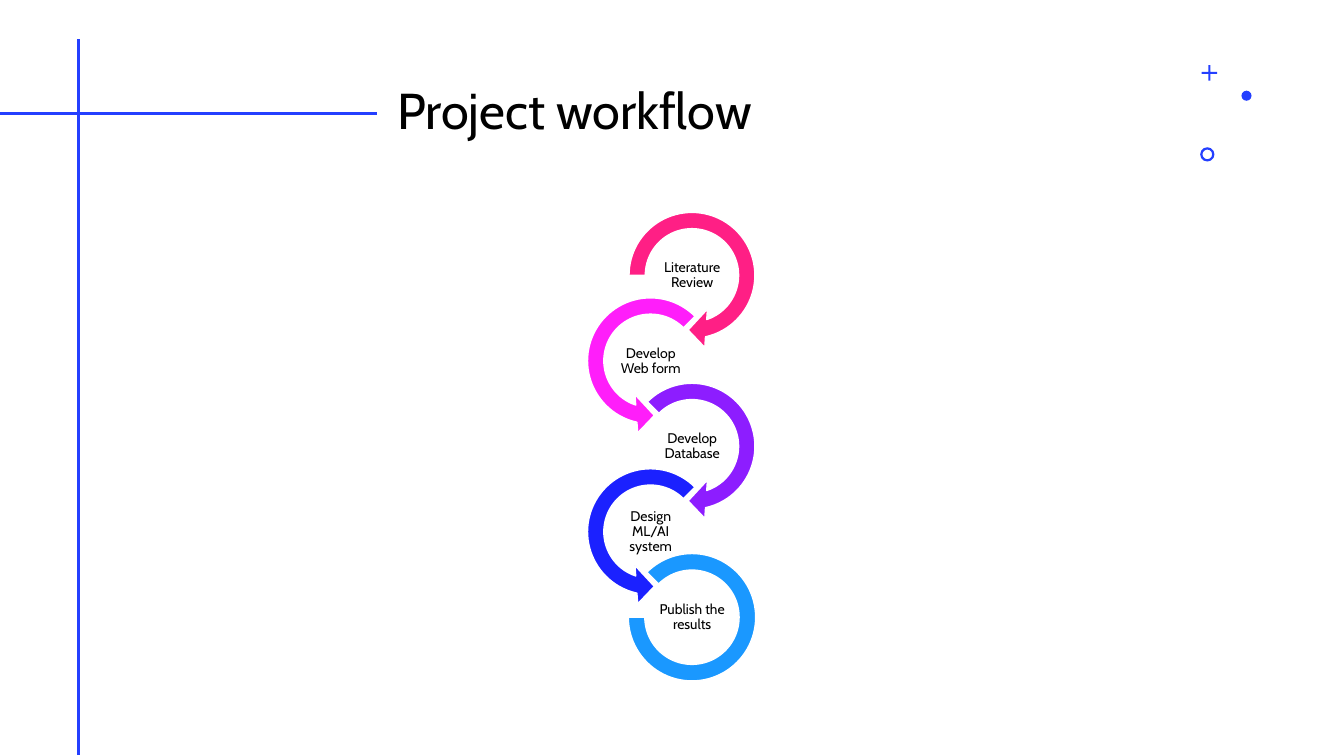
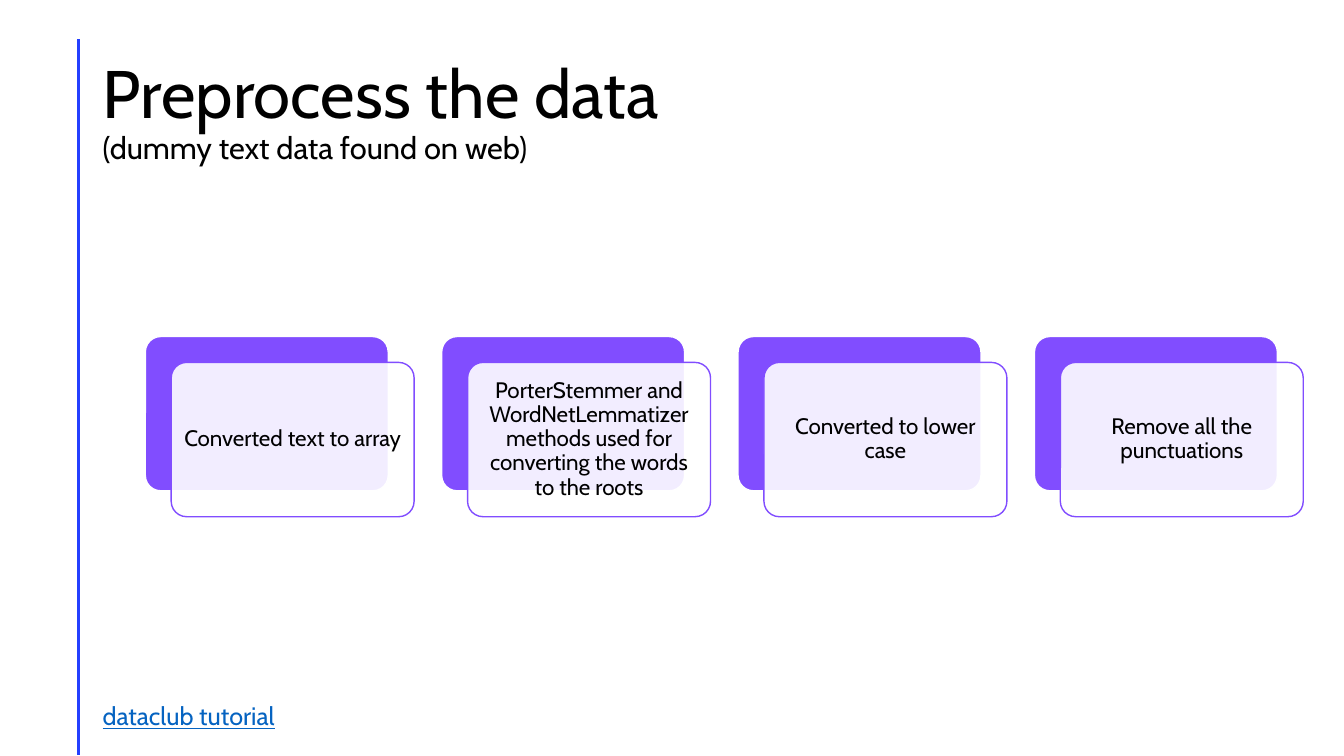
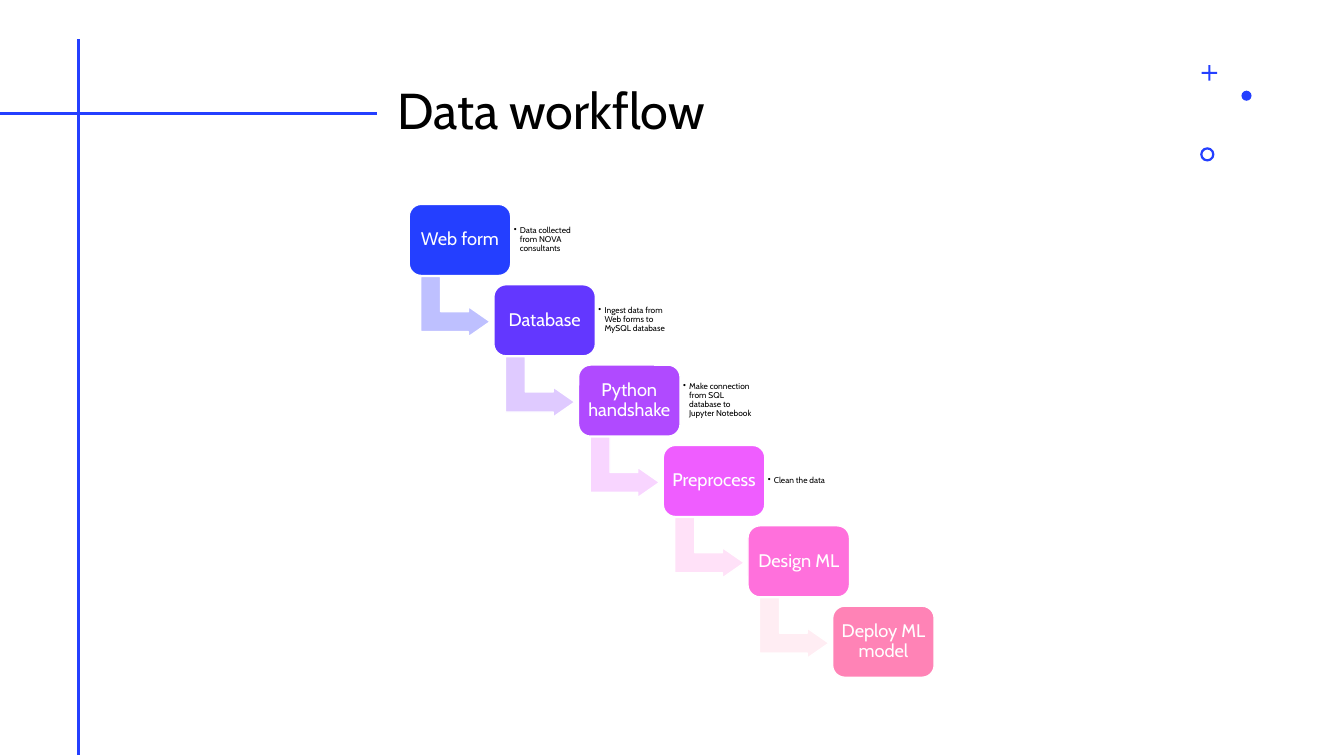
from lxml import etree
from pptx import Presentation
from pptx.dml.color import RGBColor
from pptx.enum.shapes import MSO_CONNECTOR, MSO_SHAPE
from pptx.enum.text import MSO_ANCHOR, MSO_AUTO_SIZE, PP_ALIGN
from pptx.oxml.ns import qn
from pptx.util import Pt

STRAIGHT = MSO_CONNECTOR.STRAIGHT
ROUNDED, OVAL, DONUT, CROSS = (MSO_SHAPE.ROUNDED_RECTANGLE, MSO_SHAPE.OVAL,
                               MSO_SHAPE.DONUT, MSO_SHAPE.CROSS)
RIGHT_RING, LEFT_RING = MSO_SHAPE.CIRCULAR_ARROW, MSO_SHAPE.LEFT_CIRCULAR_ARROW
END_RING, BENT_ARROW = MSO_SHAPE.BLOCK_ARC, MSO_SHAPE.BENT_UP_ARROW
MIDDLE, TOP = MSO_ANCHOR.MIDDLE, MSO_ANCHOR.TOP
LEFT, CENTER = PP_ALIGN.LEFT, PP_ALIGN.CENTER
NO_AUTOFIT = MSO_AUTO_SIZE.NONE
TITLE_ONLY = 5

FONT = "Cabin"
BLACK = RGBColor(0x00, 0x00, 0x00)
WHITE = RGBColor(0xFF, 0xFF, 0xFF)
BLUE = RGBColor(0x24, 0x3F, 0xFF)
VIOLET = RGBColor(0x81, 0x4D, 0xFF)
LINK_BLUE = RGBColor(0x05, 0x63, 0xC1)
ROSE = RGBColor(0xFF, 0x1F, 0x85)
MAGENTA = RGBColor(0xFF, 0x1E, 0xFA)
PURPLE = RGBColor(0x8D, 0x1D, 0xFF)
DEEP_BLUE = RGBColor(0x1B, 0x21, 0xFF)
SKY = RGBColor(0x1A, 0x98, 0xFF)
INDIGO = RGBColor(0x63, 0x37, 0xFF)
ORCHID = RGBColor(0xB0, 0x4A, 0xFF)
FUCHSIA = RGBColor(0xEF, 0x5D, 0xFF)
PINK = RGBColor(0xFF, 0x70, 0xDC)
CORAL = RGBColor(0xFF, 0x83, 0xB6)
PALE_BLUE = RGBColor(0xBE, 0xC0, 0xFF)
PALE_INDIGO = RGBColor(0xDF, 0xCA, 0xFF)
PALE_ORCHID = RGBColor(0xF8, 0xD5, 0xFF)
PALE_PINK = RGBColor(0xFF, 0xE1, 0xF8)
PALE_CORAL = RGBColor(0xFF, 0xED, 0xF3)

RIGHT_BEND = (0.11, 11.42, 45, 135, 0.13)
FIRST_BEND = (0.11, 11.42, 45, 108, 0.13)
LEFT_BEND = (0.11, 11.42, 63, 189, 0.13)
END_BEND = (135, 108, 0.13)

RINGS = [
    ("Literature Review", RIGHT_RING, FIRST_BEND, ROSE),
    ("Develop Web form", LEFT_RING, LEFT_BEND, MAGENTA),
    ("Develop Database", RIGHT_RING, RIGHT_BEND, PURPLE),
    ("Design ML/AI system", LEFT_RING, LEFT_BEND, DEEP_BLUE),
    ("Publish the results", END_RING, END_BEND, SKY),
]
CARDS = [
    "Converted text to array",
    "PorterStemmer and WordNetLemmatizer methods used for converting the words to the roots",
    "Converted to lower case",
    "Remove all the punctuations",
]
STAIRS = [
    ("Web form", BLUE, PALE_BLUE, "Data collected from NOVA consultants"),
    ("Database", INDIGO, PALE_INDIGO, "Ingest data from Web forms to MySQL database"),
    ("Python handshake", ORCHID, PALE_ORCHID,
     "Make connection from SQL database to Jupyter Notebook"),
    ("Preprocess", FUCHSIA, PALE_PINK, "Clean the data"),
    ("Design ML", PINK, PALE_CORAL, None),
    ("Deploy ML model", CORAL, None, None),
]


def add_run(paragraph, text, size, color=BLACK):
    run = paragraph.add_run()
    run.text = text
    run.font.name = FONT
    run.font.size = Pt(size)
    run.font.color.rgb = color
    return run


def set_frame(shape, inset, anchor=MIDDLE, align=CENTER, spacing=0.9):
    """Format the text frame of a shape and return its first paragraph."""
    frame = shape.text_frame
    frame.word_wrap = True
    frame.auto_size = NO_AUTOFIT
    frame.vertical_anchor = anchor
    frame.margin_left = frame.margin_right = Pt(inset)
    frame.margin_top = frame.margin_bottom = Pt(inset)
    paragraph = frame.paragraphs[0]
    paragraph.alignment = align
    paragraph.line_spacing = spacing
    return paragraph


def add_shape(slide, kind, left, top, width, height, fill, line=WHITE, bends=()):
    shape = slide.shapes.add_shape(kind, Pt(left), Pt(top), Pt(width), Pt(height))
    shape.shadow.inherit = False
    shape.fill.solid()
    shape.fill.fore_color.rgb = fill
    if line is None:
        shape.line.fill.background()
    else:
        shape.line.color.rgb = line
        shape.line.width = Pt(1)
    for index, bend in enumerate(bends):
        shape.adjustments[index] = bend
    return shape


def add_textbox(slide, left, top, width, height):
    return slide.shapes.add_textbox(Pt(left), Pt(top), Pt(width), Pt(height))


def add_rule(slide, x1, y1, x2, y2):
    rule = slide.shapes.add_connector(STRAIGHT, Pt(x1), Pt(y1), Pt(x2), Pt(y2))
    rule.line.color.rgb = BLUE
    rule.line.width = Pt(2)
    etree.SubElement(rule._element.spPr, qn("a:effectLst"))


def add_title_slide(presentation, left, width, title, size, subtitle=None):
    slide = presentation.slides.add_slide(presentation.slide_layouts[TITLE_ONLY])
    add_rule(slide, 56.2, 28, 56.2, 539.5)
    shape = slide.shapes.title
    shape.left, shape.top, shape.width, shape.height = (
        Pt(left), Pt(28.8), Pt(width), Pt(104.4))
    paragraph = set_frame(shape, 7.2, align=LEFT)
    shape.text_frame.margin_top = shape.text_frame.margin_bottom = Pt(3.6)
    add_run(paragraph, title, size)
    if subtitle:
        paragraph.add_line_break()
        add_run(paragraph, subtitle, 22)
    return slide


def add_workflow_slide(presentation, title):
    slide = add_title_slide(presentation, 276.5, 563.8, title, 36)
    add_rule(slide, 0, 80.9, 269.5, 80.9)
    add_shape(slide, CROSS, 858.4, 46.6, 11, 11, BLUE, None, (0.43,))
    add_shape(slide, OVAL, 886.8, 64.8, 7.2, 7.2, BLUE, None)
    add_shape(slide, DONUT, 857.3, 105.2, 10.2, 10.2, BLUE, None, (0.16,))
    return slide


def add_ring_chain(slide, left, top):
    size, pitch, shift = 105.8, 61.05, 29.6
    for index, (label, kind, bends, color) in enumerate(RINGS):
        x = left if kind == LEFT_RING else left + shift
        y = top + index * pitch
        trim = 7.4 if kind == END_RING else 0
        add_shape(slide, kind, x + trim, y + trim, size - 2 * trim,
                  size - 2 * trim, color, bends=bends)
        box = add_textbox(slide, x + 23.5, y + 38.4, 59, 29.5)
        add_run(set_frame(box, 0.7), label, 10)


def add_card_row(slide, left, top):
    width, height, pitch, offset = 173.5, 110.2, 211.7, 18.5
    for index, label in enumerate(CARDS):
        x = left + index * pitch
        add_shape(slide, ROUNDED, x, top, width, height, VIOLET, bends=(0.1,))
        card = add_shape(slide, ROUNDED, x + offset, top + offset, width, height,
                         WHITE, VIOLET, (0.1,))
        white = card._element.spPr.find(qn("a:solidFill"))[0]
        etree.SubElement(white, qn("a:alpha"), val="90000")
        add_run(set_frame(card, 5), label, 16)


def add_bullet_note(slide, left, top, text):
    box = add_textbox(slide, left, top, 53.3, 41)
    paragraph = box.text_frame.paragraphs[0]
    properties = paragraph._p.get_or_add_pPr()
    properties.set("marL", str(Pt(4.3)))
    properties.set("indent", str(Pt(-4.3)))
    etree.SubElement(properties, qn("a:buChar"), char="•")
    set_frame(box, 2.2, align=LEFT)
    add_run(paragraph, text, 6)


def add_staircase(slide, left, top):
    width, height, step_x, step_y = 72.5, 50.8, 60.5, 57.4
    for index, (label, color, arrow_color, note) in enumerate(STAIRS):
        x, y = left + index * step_x, top + index * step_y
        if arrow_color:
            arrow = add_shape(slide, BENT_ARROW, x + 11.4, y + 48.2, 43.2, 49.6,
                              arrow_color, bends=(0.33, 0.25, 0.36))
            arrow.rotation = 90
        step = add_shape(slide, ROUNDED, x, y, width, height, color, bends=(0.17,))
        add_run(set_frame(step, 3.4), label, 13, WHITE)
        if note:
            add_bullet_note(slide, x + width, y + 4.8, note)


def add_source_line(slide, left, top, text):
    box = add_textbox(slide, left, top, 480, 29)
    paragraph = set_frame(box, 7.2, TOP, LEFT, 1.0)
    box.text_frame.margin_top = box.text_frame.margin_bottom = Pt(3.6)
    add_run(paragraph, text, 18, LINK_BLUE).font.underline = True


def main():
    presentation = Presentation()
    presentation.slide_width, presentation.slide_height = Pt(960), Pt(540)

    add_ring_chain(add_workflow_slide(presentation, "Project workflow"), 411.8, 143.8)

    preprocess = add_title_slide(presentation, 66.2, 828, "Preprocess the data", 48,
                                 "(dummy text data found on web)")
    add_card_row(preprocess, 103.8, 240.4)
    add_source_line(preprocess, 66.2, 496.8, "dataclub tutorial")

    add_staircase(add_workflow_slide(presentation, "Data workflow"), 292.3, 146)

    presentation.save("out.pptx")


if __name__ == "__main__":
    main()
